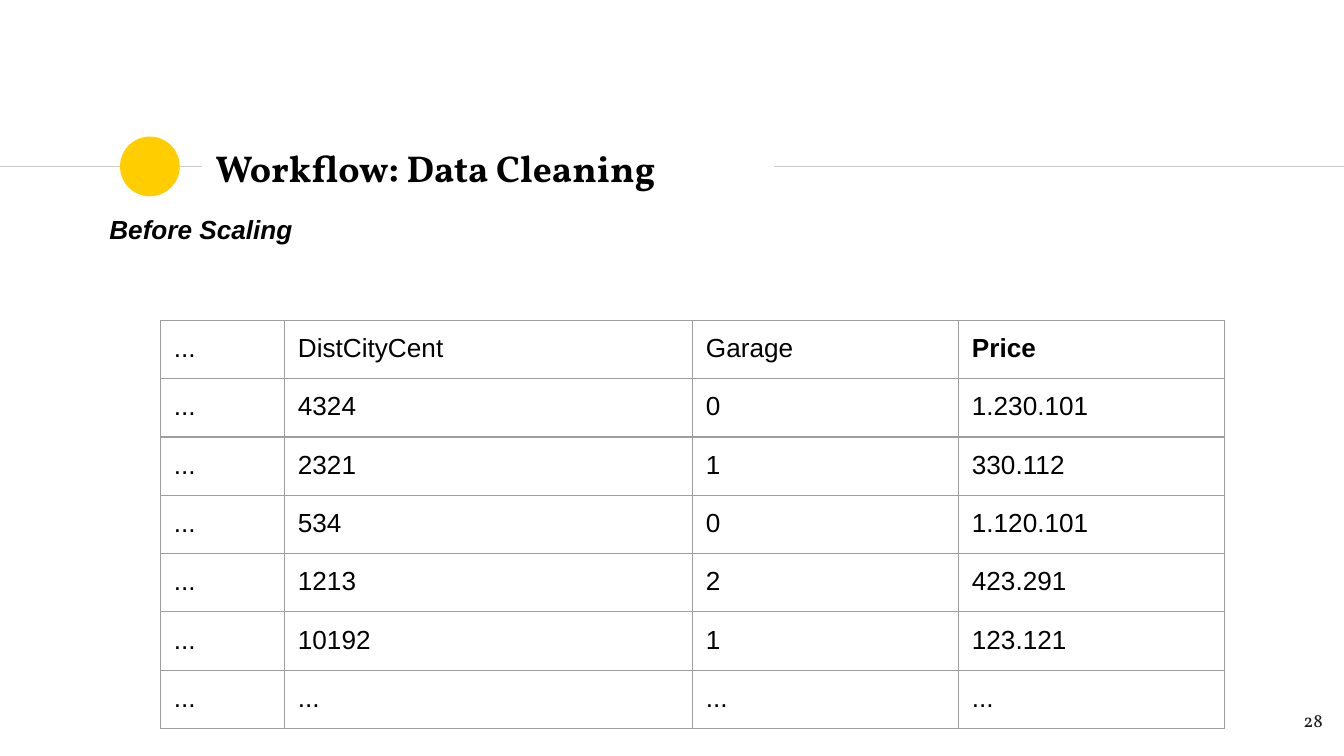
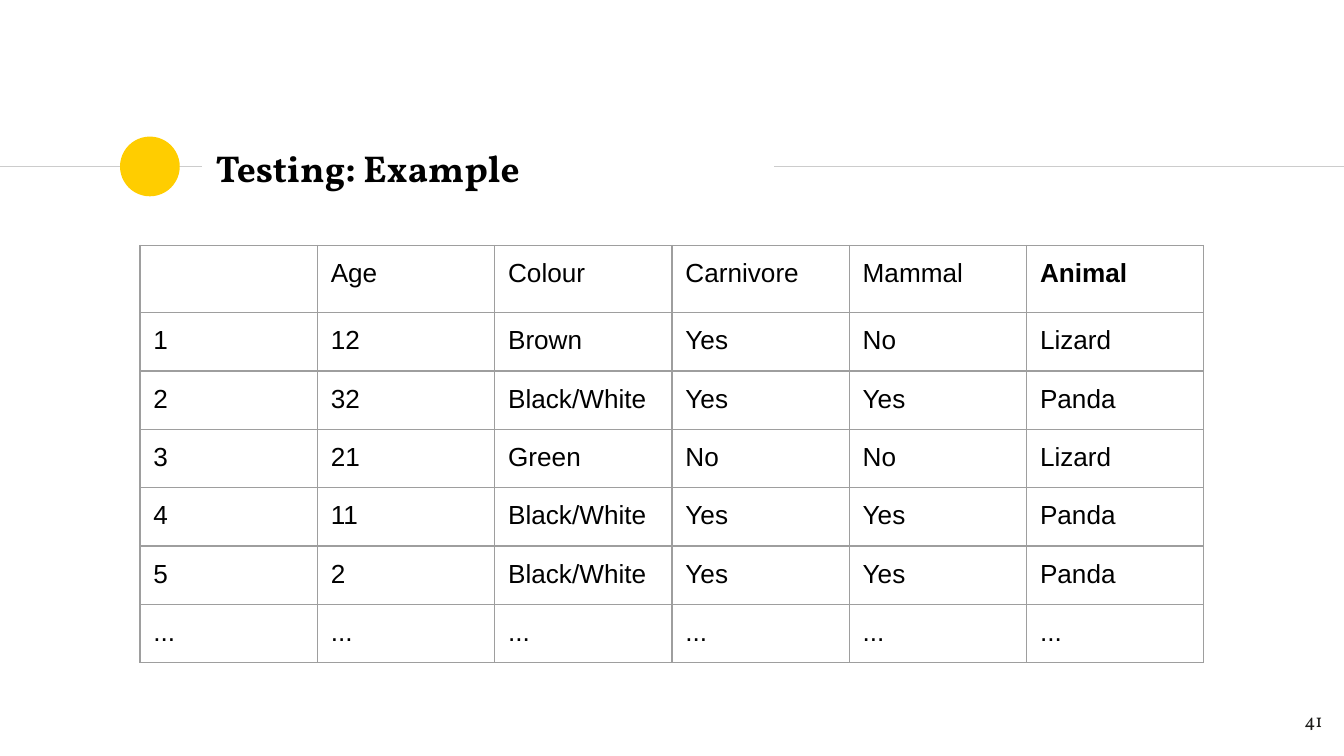
from lxml.etree import SubElement
from pptx import Presentation
from pptx.dml.color import RGBColor
from pptx.enum.shapes import MSO_CONNECTOR, MSO_SHAPE
from pptx.enum.text import MSO_ANCHOR, PP_ALIGN
from pptx.oxml.ns import qn
from pptx.util import Pt

COLORS = {
    "background": "FFFFFF",
    "rule": "CCCCCC",
    "accent": "FFCD00",
    "text": "000000",
    "number": "1D1D1B",
    "border": "9E9E9E",
}
TITLE_FONT = "Vollkorn"
BODY_FONT = "Arial"
SLIDE_WIDTH, SLIDE_HEIGHT = 720, 405
INSET = 7.2
LINE_WIDTH = 0.75
ROW_HEIGHT = 30.1

TITLE_BOX = (108.4, 72.5, 305.6, 34.6)
NUMBER_BOX = (672.5, 373.7, 43.2, 31)
SUBTITLE_BOX = (51.5, 107.3, 617, 43)

HOUSE_ROWS = [
    ["...", "DistCityCent", "Garage", "Price"],
    ["...", "4324", "0", "1.230.101"],
    ["...", "2321", "1", "330.112"],
    ["...", "534", "0", "1.120.101"],
    ["...", "1213", "2", "423.291"],
    ["...", "10192", "1", "123.121"],
    ["..."] * 4,
]
ANIMAL_ROWS = [
    ["", "Age", "Colour", "Carnivore", "Mammal", "Animal"],
    ["1", "12", "Brown", "Yes", "No", "Lizard"],
    ["2", "32", "Black/White", "Yes", "Yes", "Panda"],
    ["3", "21", "Green", "No", "No", "Lizard"],
    ["4", "11", "Black/White", "Yes", "Yes", "Panda"],
    ["5", "2", "Black/White", "Yes", "Yes", "Panda"],
    ["..."] * 6,
]


def color(name):
    return RGBColor.from_string(COLORS[name])


def write_text(frame, text, font=BODY_FONT, size=14, fill="text", bold=False,
               italic=False, align=PP_ALIGN.LEFT):
    paragraph = frame.paragraphs[0]
    paragraph.alignment = align
    run = paragraph.add_run()
    run.text = text
    run.font.name = font
    run.font.size = Pt(size)
    run.font.bold = bold
    run.font.italic = italic
    run.font.color.rgb = color(fill)


def set_margins(target):
    target.margin_left = target.margin_right = Pt(INSET)
    target.margin_top = target.margin_bottom = Pt(INSET)


def add_text(slide, box, text, anchor=MSO_ANCHOR.TOP, **text_format):
    frame = slide.shapes.add_textbox(*map(Pt, box)).text_frame
    frame.word_wrap = True
    frame.vertical_anchor = anchor
    set_margins(frame)
    write_text(frame, text, **text_format)


def add_rule(slide, start, end, y):
    rule = slide.shapes.add_connector(
        MSO_CONNECTOR.STRAIGHT, Pt(start), Pt(y), Pt(end), Pt(y))
    rule.line.color.rgb = color("rule")
    rule.line.width = Pt(LINE_WIDTH)
    SubElement(rule._element.spPr, qn("a:effectLst"))


def add_title_band(slide, box, title):
    left, top, width, height = box
    middle = top + height / 2 - 0.6
    diameter = 32
    add_rule(slide, 0, left, middle)
    circle = slide.shapes.add_shape(
        MSO_SHAPE.OVAL, Pt(left - 44.1), Pt(middle - diameter / 2),
        Pt(diameter), Pt(diameter))
    circle.shadow.inherit = False
    circle.fill.solid()
    circle.fill.fore_color.rgb = color("accent")
    circle.line.fill.background()
    add_rule(slide, left + width + 0.7, SLIDE_WIDTH, middle)
    add_text(slide, box, title, anchor=MSO_ANCHOR.MIDDLE,
             font=TITLE_FONT, size=20, bold=True)


def set_borders(cell):
    properties = cell._tc.get_or_add_tcPr()
    for position, side in enumerate(("lnL", "lnR", "lnT", "lnB")):
        line = properties.makeelement(
            qn(f"a:{side}"), {"w": str(Pt(LINE_WIDTH))})
        fill = SubElement(line, qn("a:solidFill"))
        SubElement(fill, qn("a:srgbClr"), val=COLORS["border"])
        properties.insert(position, line)


def add_grid(slide, left, top, column_widths, rows):
    frame = slide.shapes.add_table(
        len(rows), len(column_widths), Pt(left), Pt(top),
        Pt(sum(column_widths)), Pt(ROW_HEIGHT * len(rows)))
    table = frame.table
    table.first_row = table.horz_banding = False
    for column, width in zip(table.columns, column_widths):
        column.width = Pt(width)
    for row_index, values in enumerate(rows):
        table.rows[row_index].height = Pt(ROW_HEIGHT)
        for column_index, value in enumerate(values):
            cell = table.cell(row_index, column_index)
            cell.fill.background()
            set_margins(cell)
            set_borders(cell)
            is_target = row_index == 0 and column_index == len(values) - 1
            write_text(cell.text_frame, value, size=14 if value else 18,
                       bold=is_target)


def add_table_slide(presentation, title, number, left, top, column_widths,
                    rows, subtitle=None):
    slide = presentation.slides.add_slide(presentation.slide_layouts[6])
    slide.background.fill.solid()
    slide.background.fill.fore_color.rgb = color("background")
    add_title_band(slide, TITLE_BOX, title)
    add_text(slide, NUMBER_BOX, number, font=TITLE_FONT, size=10,
             fill="number", align=PP_ALIGN.RIGHT)
    if subtitle:
        add_text(slide, SUBTITLE_BOX, subtitle, bold=True, italic=True,
                 align=PP_ALIGN.JUSTIFY)
    add_grid(slide, left, top, column_widths, rows)


def main():
    """Build the two table slides and save the presentation."""
    presentation = Presentation()
    presentation.slide_width = Pt(SLIDE_WIDTH)
    presentation.slide_height = Pt(SLIDE_HEIGHT)
    add_table_slide(presentation, "Workflow: Data Cleaning", "28", 86, 171.6,
                    [66.4, 218.6, 142.5, 142.5], HOUSE_ROWS,
                    subtitle="Before Scaling")
    add_table_slide(presentation, "Testing: Example", "41", 75, 131.5,
                    [95] * 6, ANIMAL_ROWS)
    presentation.save("out.pptx")


if __name__ == "__main__":
    main()
